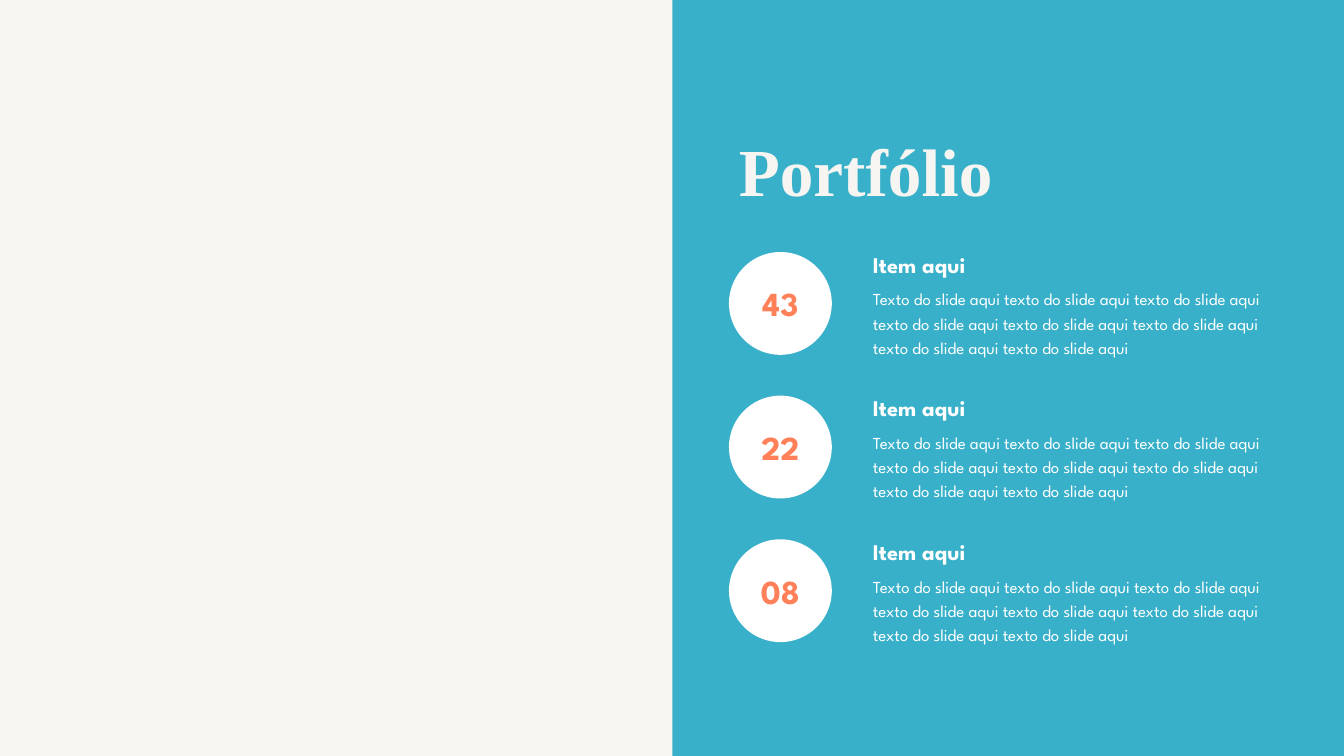
from dataclasses import dataclass

from pptx import Presentation
from pptx.dml.color import RGBColor
from pptx.enum.shapes import MSO_SHAPE as Preset
from pptx.enum.text import MSO_ANCHOR as Anchor, PP_ALIGN as Align
from pptx.util import Inches, Pt


@dataclass(frozen=True)
class Theme:
    paper: RGBColor = RGBColor.from_string("F7F5F2")
    teal: RGBColor = RGBColor.from_string("38B0C9")
    white: RGBColor = RGBColor.from_string("FFFFFF")
    coral: RGBColor = RGBColor.from_string("FF8059")
    title_font: str = "Times New Roman"
    text_font: str = "League Spartan"
    title_size: Pt = Pt(48)
    number_size: Pt = Pt(24)
    heading_size: Pt = Pt(16)
    body_size: Pt = Pt(12)


theme = Theme()


def add_filled(preset, left, top, width, height, color):
    shape = slide.shapes.add_shape(
        preset, Inches(left), Inches(top), Inches(width), Inches(height))
    shape.shadow.inherit = False
    shape.fill.solid()
    shape.fill.fore_color.rgb = color
    shape.line.fill.background()
    return shape


def write(shape, text, size, color, font=theme.text_font, bold=True,
          spacing=None, align=Align.LEFT):
    shape.text_frame.word_wrap = True
    paragraph = shape.text_frame.paragraphs[0]
    paragraph.alignment = align
    paragraph.line_spacing = spacing
    run = paragraph.add_run()
    run.text = text
    run.font.name = font
    run.font.size = size
    run.font.bold = bold
    run.font.color.rgb = color


prs = Presentation()
prs.slide_width = Inches(13.33)
prs.slide_height = Inches(7.5)
slide = prs.slides.add_slide(prs.slide_layouts[6])
slide.background.fill.solid()
slide.background.fill.fore_color.rgb = theme.paper

add_filled(Preset.RECTANGLE, 6.67, 0, 6.67, 7.5, theme.teal)

title = slide.shapes.add_textbox(
    Inches(7.23), Inches(1.06), Inches(5.63), Inches(1.08))
write(title, "Portfólio", theme.title_size, theme.paper,
      font=theme.title_font, spacing=Pt(70))

description = "Texto do slide aqui" + " texto do slide aqui" * 7
first_top, last_top = 2.5, 5.35
numbers = ["43", "22", "08"]
pitch = (last_top - first_top) / (len(numbers) - 1)

for index, number in enumerate(numbers):
    top = first_top + index * pitch

    body = slide.shapes.add_textbox(
        Inches(8.56), Inches(top + 0.28), Inches(4.3), Inches(0.81))
    write(body, description, theme.body_size, theme.white,
          bold=False, spacing=1.2)

    heading = slide.shapes.add_textbox(
        Inches(8.56), Inches(top - 0.06), Inches(3.99), Inches(0.37))
    write(heading, "Item aqui", theme.heading_size, theme.white)

    badge = add_filled(Preset.OVAL, 7.23, top, 1.02, 1.02, theme.white)
    badge.text_frame.margin_left = badge.text_frame.margin_right = 0
    badge.text_frame.vertical_anchor = Anchor.MIDDLE
    write(badge, number, theme.number_size, theme.coral, align=Align.CENTER)

prs.save("out.pptx")
